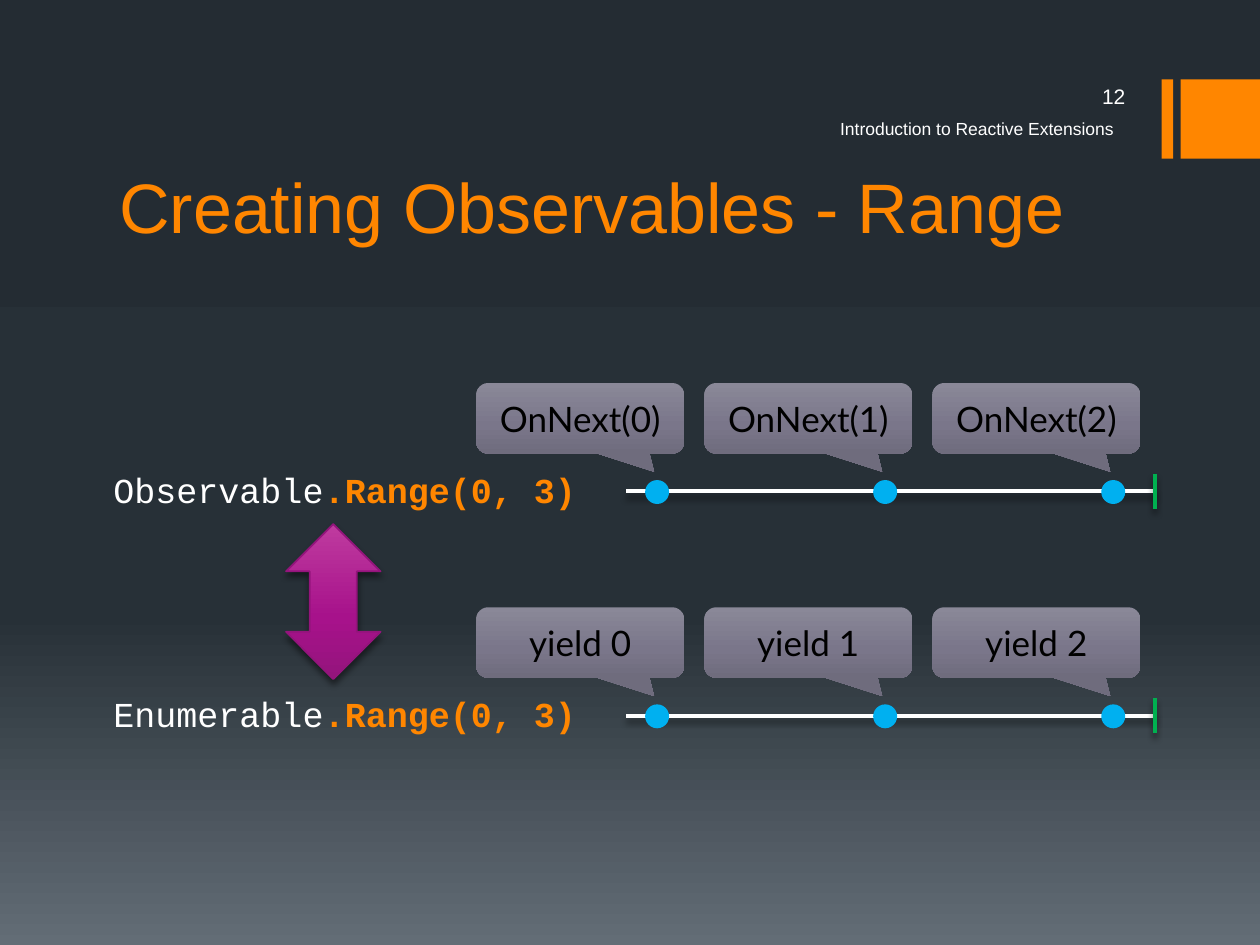
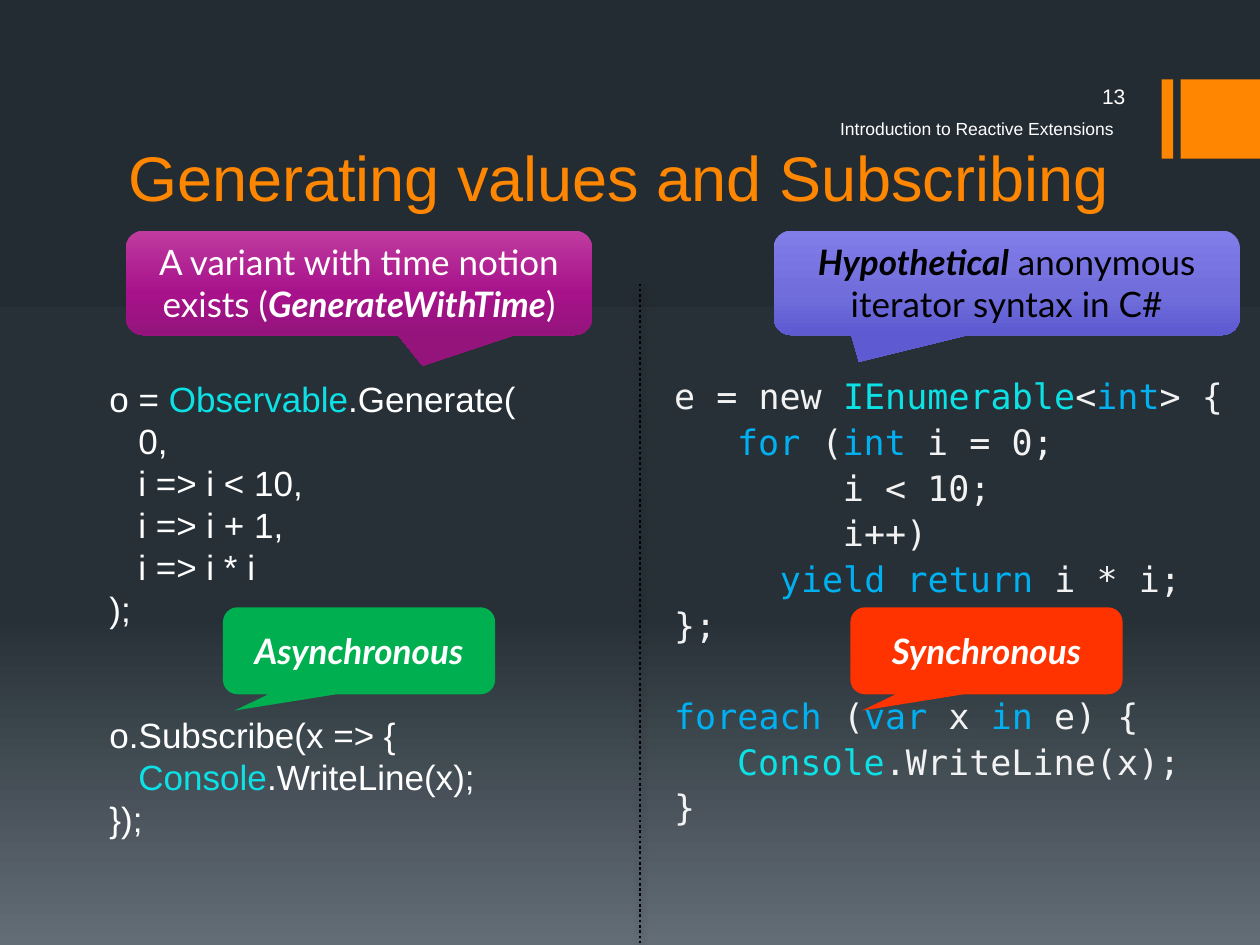
"""Build two slides on creating observables and enumerables."""
from pptx import Presentation
from pptx.dml.color import RGBColor
from pptx.enum.dml import MSO_LINE
from pptx.enum.shapes import MSO_CONNECTOR, MSO_SHAPE
from pptx.enum.text import MSO_ANCHOR, MSO_AUTO_SIZE, PP_ALIGN
from pptx.oxml import parse_xml
from pptx.oxml.ns import nsdecls, qn
from pptx.util import Inches, Pt

INK = {
    "orange": "FF8600", "white": "FFFFFF", "black": "000000", "pale": "F2F2F2",
    "aqua": "0CE1E6", "blue": "00B0F0", "green": "00B050", "red": "FF3300",
    "plum": "94147C",
}
BLEND = {
    "night": [(0, "242C33"), (65, "273037"), (100, "636D76")],
    "slate": [(0, "8A8898"), (60, "7A768A"), (100, "6F6C7D")],
    "pink": [(0, "BF3B9F"), (60, "A7128B"), (100, "94147C")],
    "violet": [(0, "817EEA"), (60, "716EDC"), (100, "5D5AD2")],
}
FONT = {
    "title": {"name": "Arial", "size": Pt(40)},
    "small": {"name": "Arial", "size": Pt(10)},
    "page": {"name": "Arial", "size": Pt(12)},
    "left": {"name": "Arial", "size": Pt(20)},
    "right": {"name": "DejaVu Sans Mono", "size": Pt(20)},
    "label": {"name": "Courier New", "size": Pt(20)},
    "call": {"name": "Lato", "size": Pt(20)},
}
MID = {"vertical_anchor": MSO_ANCHOR.MIDDLE}
LOW = {"vertical_anchor": MSO_ANCHOR.BOTTOM}
BARE = dict.fromkeys(
    ("margin_left", "margin_top", "margin_right", "margin_bottom"), 0)
SNUG = {**BARE, "word_wrap": False, "auto_size": MSO_AUTO_SIZE.SHAPE_TO_FIT_TEXT}
BOLD = {"bold": True}
SLANT = {"bold": True, "italic": True}
CENTER = {"alignment": PP_ALIGN.CENTER}
CALL = MSO_SHAPE.ROUNDED_RECTANGULAR_CALLOUT
GLOW = (
    f'<a:effectLst {nsdecls("a")}><a:outerShdw blurRad="48260" dist="38100" '
    'dir="5400000" rotWithShape="0"><a:srgbClr val="000000">'
    '<a:alpha val="{}000"/></a:srgbClr></a:outerShdw></a:effectLst>'
)


def put(page, box, fill=None, kind=None, lines=(), font="call", frame={}, para={}, adj=()):
    place = [Inches(n) for n in box]
    if kind is None:
        shape = page.shapes.add_textbox(*place)
    else:
        shape = page.shapes.add_shape(kind, *place)
        shape.shadow.inherit = False
        shape.line.fill.background()
        if fill in BLEND:
            shape.fill.gradient()
            shape.fill.gradient_angle = 270
            stops = next(shape._element.iter(qn("a:gsLst")))
            stops.getparent().replace(stops, ramp(BLEND[fill]))
        else:
            shape.fill.solid()
            shape.fill.fore_color.rgb = RGBColor.from_string(INK[fill])
    for spot, value in enumerate(adj):
        shape.adjustments[spot] = value
    text = shape.text_frame
    for key, value in {"word_wrap": True, **frame}.items():
        setattr(text, key, value)
    for row, (indent, extra, runs) in enumerate(lines):
        line = text.add_paragraph() if row else text.paragraphs[0]
        for key, value in {**para, **extra}.items():
            setattr(line, key, value)
        if indent:
            line._p.get_or_add_pPr().set("marL", str(Inches(indent)))
        for words, ink, *more in runs:
            run = line.add_run()
            run.text = words
            run.font.color.rgb = RGBColor.from_string(INK[ink])
            for style in (FONT[font], *more):
                for key, value in style.items():
                    setattr(run.font, key, value)
    return shape


def ramp(stops):
    marks = "".join(
        f'<a:gs pos="{spot}000"><a:srgbClr val="{tint}"/></a:gs>' for spot, tint in stops)
    return parse_xml(f'<a:gsLst {nsdecls("a")}>{marks}</a:gsLst>')


deck = Presentation()
deck.slide_width, deck.slide_height = Inches(10), Inches(7.5)
back = deck.slide_master.background.fill
back.gradient()
back.gradient_angle = 270
stops = next(deck.slide_master._element.iter(qn("a:gsLst")))
stops.getparent().replace(stops, ramp(BLEND["night"]))

pages = []
for number, title, left, top, size in (
    ("12", "Creating Observables - Range", 0.85, 0.75, 40),
    ("13", "Generating values and Subscribing", 0.92, 0.49, 36),
):
    page = deck.slides.add_slide(deck.slide_layouts[6])
    pages.append(page)
    for x, width in ((9.22, 0.09), (9.37, 0.63)):
        put(page, (x, 0.63, width, 0.63), "orange", MSO_SHAPE.RECTANGLE)
    put(page, (left, top, 8, 1.26), font="title", frame=LOW,
        lines=[(0, {}, [(title, "orange", {"size": Pt(size)})])])
    put(page, (6.57, 0.94, 2.46, 0.33), font="small", frame={"margin_top": 0},
        lines=[(0, {}, [("Introduction to Reactive Extensions", "white")])])
    put(page, (8, 0.6, 1.03, 0.33), font="page", frame=MID,
        para={"alignment": PP_ALIGN.RIGHT}, lines=[(0, {}, [(number, "white")])])

range_page, code_page = pages
rows = (
    (3.9, "Observable", "OnNext({})"),
    (5.68, "Enumerable", "yield {}"),
)
rules = [(code_page, 5.08, 2.25, 5.08, 7.5, "black", 1.5, 28)]
for y, *_ in rows:
    rules += [
        (range_page, 4.97, y, 9.17, y, "white", 2.25, 48),
        (range_page, 9.165, y - 0.14, 9.165, y + 0.14, "green", 2.25, 48),
    ]
for page, x, y, right, low, ink, width, alpha in rules:
    rule = page.shapes.add_connector(
        MSO_CONNECTOR.STRAIGHT, *[Inches(n) for n in (x, y, right, low)])
    rule.line.width = Pt(width)
    rule.line.color.rgb = RGBColor.from_string(INK[ink])
    if page is code_page:
        rule.line.dash_style = MSO_LINE.ROUND_DOT
    rule._element.spPr.append(parse_xml(GLOW.format(alpha)))

for y, source, event in rows:
    put(range_page, (0.9, y - 0.18, 3.7, 0.34), font="label", frame=SNUG,
        lines=[(0, {}, [(source, "white"), (".Range(0, 3)", "orange", BOLD)])])
    for step in range(3):
        shift = 1.81 * step
        put(range_page, (5.12 + shift, y - 0.09, 0.19, 0.19), "blue", MSO_SHAPE.OVAL)
        put(range_page, (3.78 + shift, y - 0.86, 1.65, 0.56), "slate", CALL,
            lines=[(0, {}, [(event.format(step), "black")])],
            frame=MID, para=CENTER, adj=(0.355, 0.758, 0.167))

arrow = put(range_page, (2.27, 4.16, 0.75, 1.23), "pink", MSO_SHAPE.UP_DOWN_ARROW)
arrow.line.color.rgb = RGBColor.from_string(INK["plum"])
arrow.line.width = Pt(1)
plain = arrow._element.spPr.find(qn("a:effectLst"))
plain.getparent().replace(plain, parse_xml(GLOW.format(48)))

push = [
    (0, {}, [("o = ", "white"), ("Observable", "aqua"), (".Generate(", "white")]),
    *[(0.23, {}, [(words, "white")])
      for words in ("0,", "i => i < 10,", "i => i + 1,", "i => i * i")],
    (0, {}, [(");", "white")]),
    (0, {"space_before": Pt(48)}, [("o.Subscribe(x => {", "white")]),
    (0.23, {}, [("Console", "aqua"), (".WriteLine(x);", "white")]),
    (0, {}, [("});", "white")]),
]
pull = [
    (0, {}, [("e = new ", "pale"), ("IEnumerable", "aqua"), ("<", "pale"),
             ("int", "blue"), ("> {", "pale")]),
    (0.5, {}, [("for", "blue"), (" (", "pale"), ("int", "blue"), (" i = 0;", "pale")]),
    (1.34, {}, [("i < 10;", "pale")]),
    (1.34, {}, [("i++)", "pale")]),
    (0.84, {}, [("yield return ", "blue"), ("i * i;", "pale")]),
    (0, {}, [("};", "pale")]),
    (0, {"space_before": Pt(30.2)}, [
        ("foreach ", "blue"), ("(", "pale"), ("var ", "blue"), ("x ", "pale"),
        ("in ", "blue"), ("e) {", "pale")]),
    (0.5, {}, [("Console", "aqua"), (".WriteLine(x);", "pale")]),
    (0, {}, [("}", "pale")]),
]
put(code_page, (0.77, 2.64, 4.58, 4.38), font="left", lines=push,
    frame=MID, para={"line_spacing": Pt(24)})
put(code_page, (5.35, 3.01, 4.58, 3.64), font="right", lines=pull,
    frame={**SNUG, "word_wrap": True},
    para={"line_spacing": 0.9, "space_before": Pt(4.6)})

for box, fill, tip, runs in (
    ((6.14, 1.83, 3.7, 0.83), "violet", (-0.317, 0.756),
     [("Hypothetical", "black", SLANT), (" anonymous iterator syntax in C#", "black")]),
    ((6.75, 4.82, 2.16, 0.69), "red", (-0.458, 0.688), [("Synchronous", "white", SLANT)]),
    ((1.77, 4.82, 2.16, 0.69), "green", (-0.458, 0.688), [("Asynchronous", "white", SLANT)]),
    ((1, 1.83, 3.7, 0.83), "pink", (0.136, 0.793),
     [("A variant with time notion exists (", "white"),
      ("GenerateWithTime", "white", SLANT), (")", "white")]),
):
    put(code_page, box, fill, CALL, [(0, {}, runs)], frame=MID, para=CENTER,
        adj=(*tip, 0.167))

deck.save("out.pptx")
